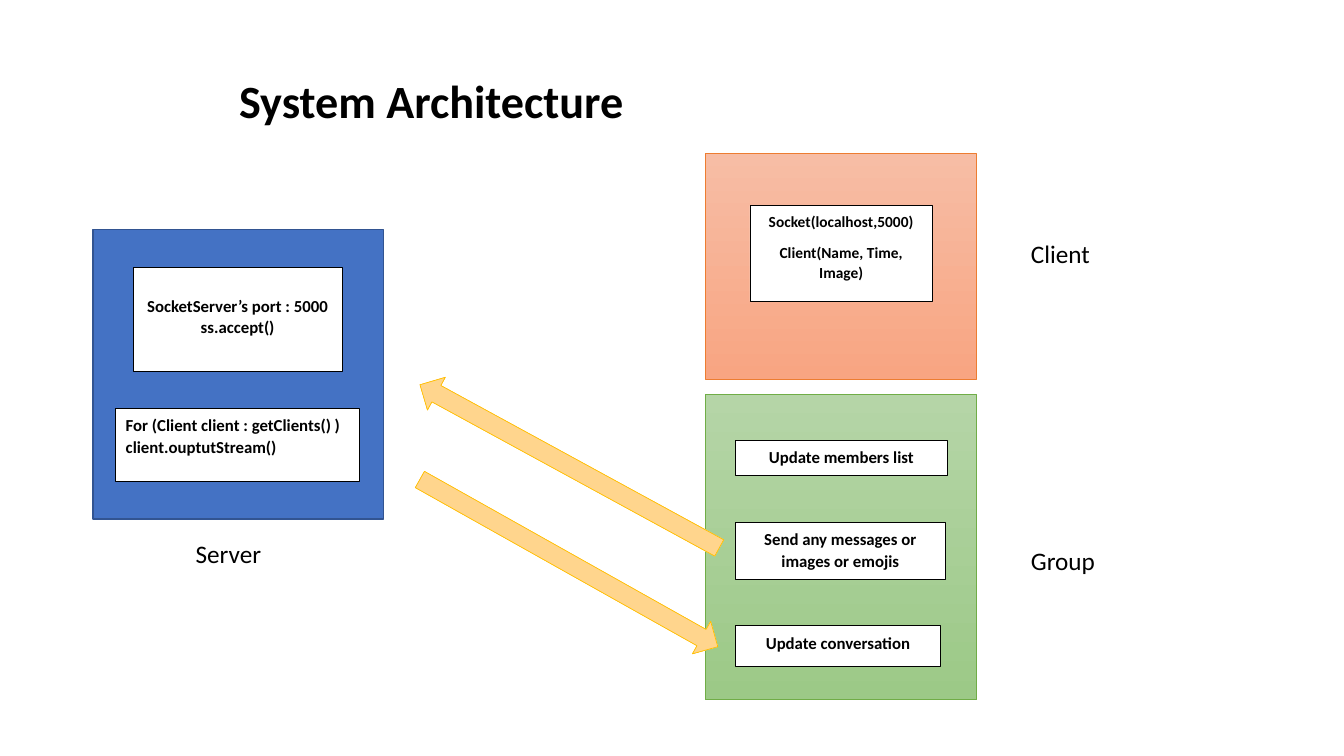
from pptx import Presentation
from pptx.dml.color import RGBColor
from pptx.enum.shapes import MSO_SHAPE
from pptx.enum.text import MSO_ANCHOR, MSO_AUTO_SIZE, PP_ALIGN
from pptx.util import Cm, Pt

RECT = MSO_SHAPE.RECTANGLE
PROCESS = MSO_SHAPE.FLOWCHART_PROCESS
ARROW = MSO_SHAPE.RIGHT_ARROW
LEFT, CENTER = PP_ALIGN.LEFT, PP_ALIGN.CENTER
TOP, MIDDLE = MSO_ANCHOR.TOP, MSO_ANCHOR.MIDDLE
NO_FIT, GROW = MSO_AUTO_SIZE.NONE, MSO_AUTO_SIZE.SHAPE_TO_FIT_TEXT

SERVER_BOX = (2.34, 5.79, 7.32, 7.29)
CLIENT_BOX = (17.78, 3.86, 6.83, 5.69)
GROUP_BOX = (17.78, 9.93, 6.83, 7.7)
LABEL_OFFSET = 7.95


def color(value):
    return RGBColor.from_string(value)


def write(frame, paragraphs, size, bold=False, align=LEFT, anchor=TOP,
          spacing=1.0, gap=0, wrap=True, fit=NO_FIT):
    frame.word_wrap = wrap
    frame.auto_size = fit
    frame.vertical_anchor = anchor
    for index, text in enumerate(paragraphs):
        paragraph = frame.paragraphs[0] if index == 0 else frame.add_paragraph()
        paragraph.text = text
        paragraph.alignment = align
        paragraph.line_spacing = spacing
        paragraph.space_before = Pt(0)
        paragraph.space_after = Pt(gap)
        paragraph.font.name = "Calibri"
        paragraph.font.size = Pt(size)
        paragraph.font.bold = bold
        paragraph.font.color.rgb = color("000000")


def add_block(slide, kind, box, fills, line, line_width=0.5):
    """Add a shape with one fill colour, or a top-to-bottom gradient of two."""
    block = slide.shapes.add_shape(kind, *map(Cm, box))
    block.shadow.inherit = False
    if len(fills) == 1:
        block.fill.solid()
        block.fill.fore_color.rgb = color(fills[0])
    else:
        block.fill.gradient()
        block.fill.gradient_angle = 270
        for stop, value in zip(block.fill.gradient_stops, fills):
            stop.color.rgb = color(value)
    block.line.color.rgb = color(line)
    block.line.width = Pt(line_width)
    return block


def add_step(slide, region, offset, size, paragraphs, font_size=12,
             align=CENTER, top_margin=0.13):
    """Add a white text box at an offset inside its region."""
    box = (region[0] + offset[0], region[1] + offset[1], *size)
    step = add_block(slide, RECT, box, ["FFFFFF"], "000000")
    step.text_frame.margin_top = Cm(top_margin)
    write(step.text_frame, paragraphs, font_size, bold=True, align=align,
          spacing=1.07, gap=8)


def add_label(slide, region, offset, width, text):
    label = slide.shapes.add_textbox(Cm(region[0] + offset[0]),
                                     Cm(region[1] + offset[1]),
                                     Cm(width), Cm(1.02))
    write(label.text_frame, [text], 18, wrap=False, fit=GROW)


def add_title(slide, box):
    title = slide.shapes.title
    title.left, title.top, title.width, title.height = map(Cm, box)
    write(title.text_frame, ["System Architecture"], 33, bold=True,
          anchor=MIDDLE, spacing=0.7)


def add_server(slide, box):
    add_block(slide, PROCESS, box, ["4472C4"], "325491", 1)
    add_step(slide, box, (1.02, 0.94), (5.26, 2.62),
             ["SocketServer’s port : 5000\vss.accept()"], top_margin=0.68)
    add_step(slide, box, (0.58, 4.5), (6.15, 1.85),
             ["For (Client client : getClients() )\vclient.ouptutStream()"],
             align=LEFT)
    add_label(slide, box, (2.34, 7.65), 2.18, "Server")


def add_client(slide, box):
    add_block(slide, RECT, box, ["F7BDA5", "F8A582"], "ED7D31")
    add_step(slide, box, (1.12, 1.32), (4.6, 2.41),
             ["Socket(localhost,5000)", "Client(Name, Time, Image)"],
             font_size=11)
    add_label(slide, box, (LABEL_OFFSET, 2.03), 2.01, "Client")


def add_group(slide, box):
    add_block(slide, PROCESS, box, ["B5D5A7", "9CC987"], "70AD47")
    steps = [(1.17, 5.33, 0.89, "Update members list"),
             (3.23, 5.28, 1.45, "Send any messages or images or emojis"),
             (5.84, 5.16, 1.02, "Update conversation")]
    for top, width, height, text in steps:
        add_step(slide, box, (0.76, top), (width, height), [text])
    add_label(slide, box, (LABEL_OFFSET, 3.68), 2.13, "Group")


def add_message_arrow(slide, box, rotation):
    arrow = add_block(slide, ARROW, box, ["FFDB9E", "FFD07C"], "FFC000")
    arrow.rotation = rotation


def main():
    presentation = Presentation()
    presentation.slide_width = Cm(33.87)
    presentation.slide_height = Cm(19.05)
    slide = presentation.slides.add_slide(presentation.slide_layouts[5])
    add_title(slide, (5.77, 1.52, 12.04, 2.34))
    add_server(slide, SERVER_BOX)
    add_client(slide, CLIENT_BOX)
    add_group(slide, GROUP_BOX)
    add_message_arrow(slide, (10.06, 11.28, 8.59, 0.94), 208.6)
    add_message_arrow(slide, (10.03, 13.72, 8.61, 0.94), 29.3)
    presentation.save("out.pptx")


if __name__ == "__main__":
    main()
